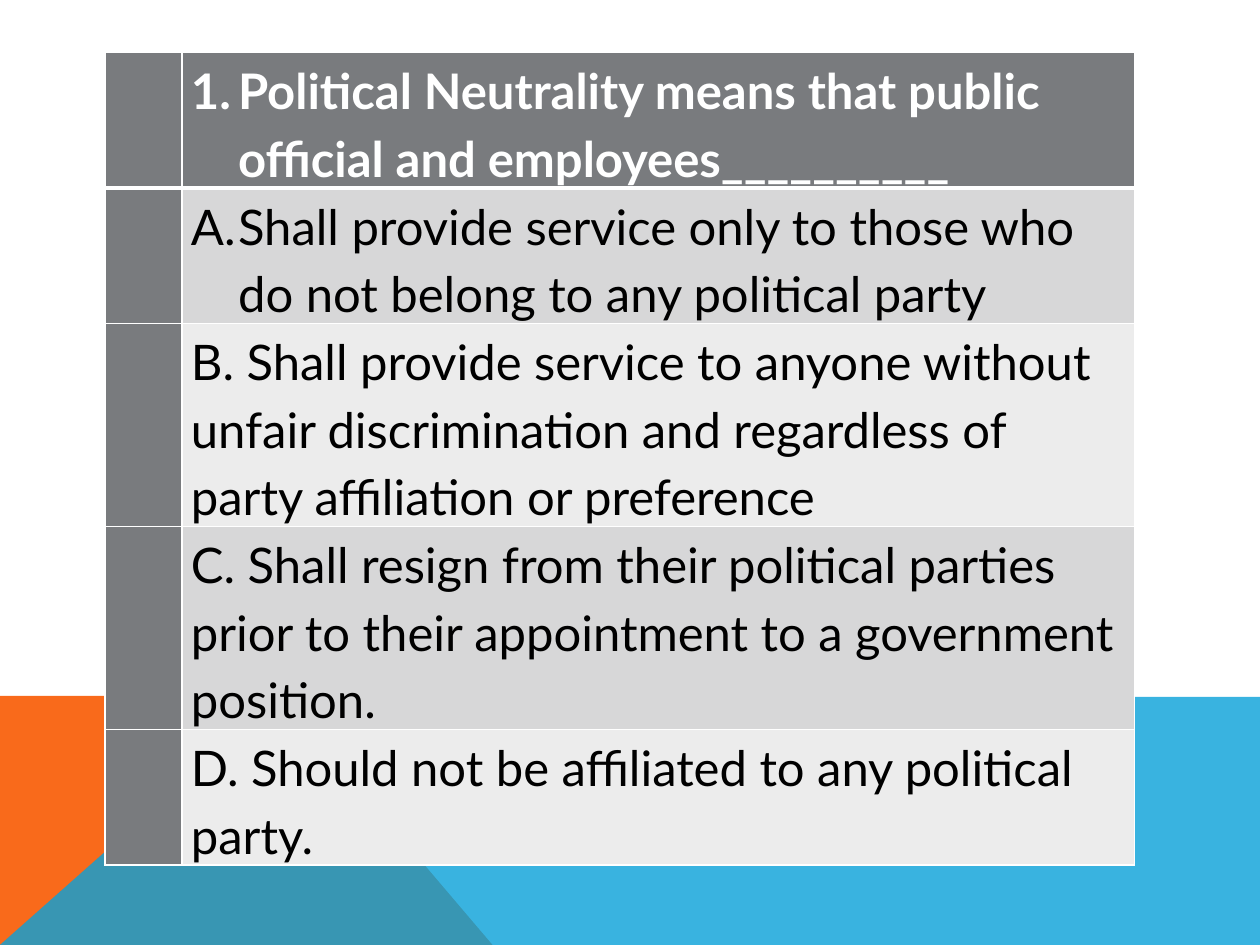
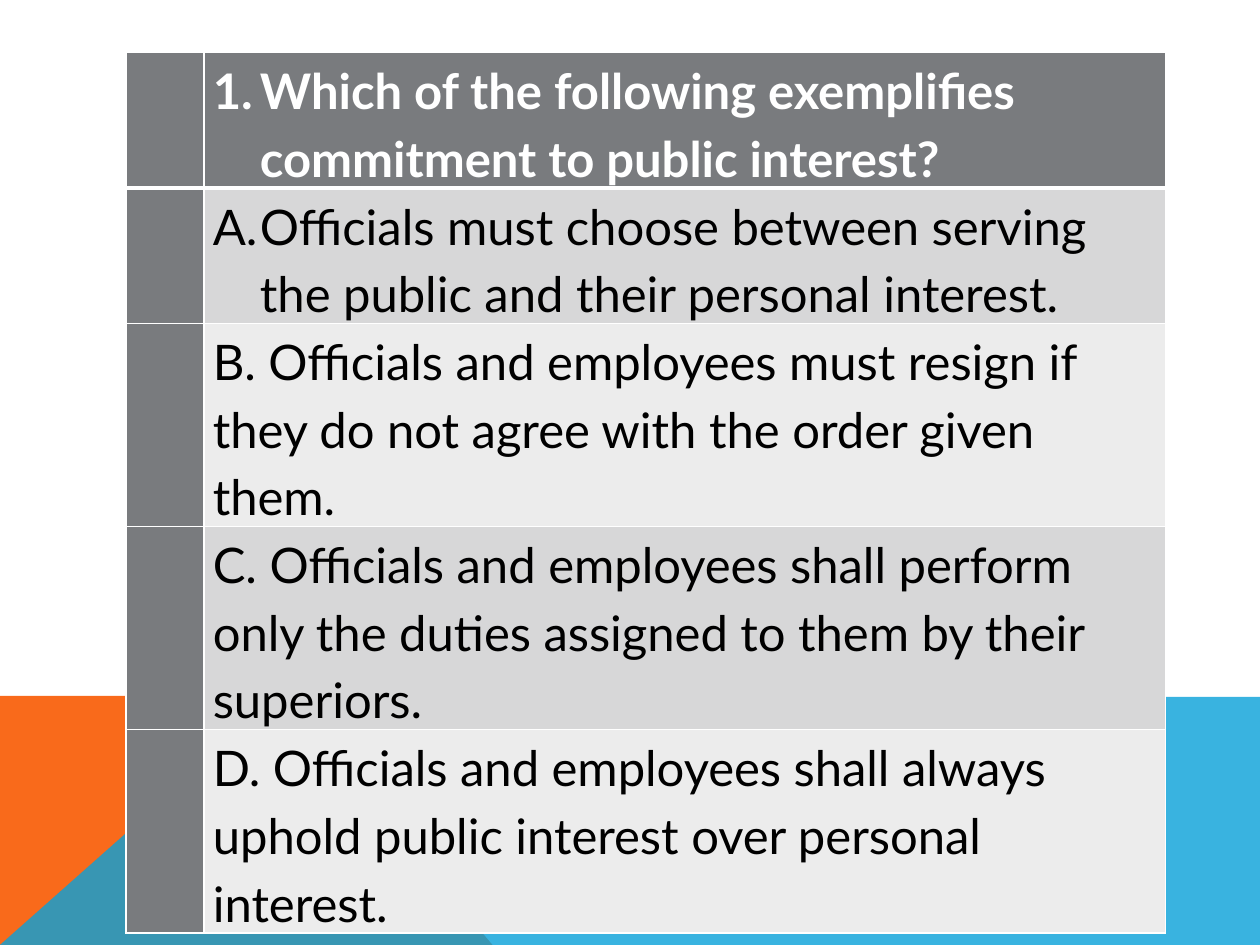
import pptx
import pptx.util
import pptx.dml.color
import pptx.oxml
import pptx.oxml.ns
import lxml.etree

Cm = pptx.util.Cm
Pt = pptx.util.Pt
qn = pptx.oxml.ns.qn

HUES = {
    "paper": "FFFFFF",
    "ink": "000000",
    "head": "797B7E",
    "dark": "D7D7D8",
    "light": "ECECEC",
    "flame": "F96A1B",
    "sky": "08A1D9",
}
FONT = "Lato"
SIZE = Pt(28)
LINE = 1.365
PAD = Cm(0.18)
HANG = Cm(0.95)
WIDE, HIGH = 25.4, 19.05

QUIZ = [
    {
        "box": (2.12, 1.06, 20.75),
        "side": 1.55,
        "lines": (2, 2, 3, 3, 2),
        "text": (
            "Political Neutrality means that public official and employees__________ ",
            "Shall provide service only to those who do not belong to any political party",
            "B. Shall provide service to anyone without unfair discrimination and "
            "regardless of party affiliation or preference",
            "C. Shall resign from their political parties prior to their appointment "
            "to a government position.",
            "D. Should not be affiliated to any political party.",
        ),
    },
    {
        "box": (2.54, 1.06, 20.96),
        "side": 1.57,
        "lines": (2, 2, 3, 3, 3),
        "text": (
            "Which of the following exemplifies commitment to public interest?",
            "Officials must choose between serving the public and their personal interest.",
            "B. Officials and employees must resign if they do not agree with the "
            "order given them.",
            "C. Officials and employees shall perform only the duties assigned to "
            "them by their superiors.",
            "D. Officials and employees shall always uphold public interest over "
            "personal interest.",
        ),
    },
]


def hue(name):
    return pptx.dml.color.RGBColor.from_string(HUES[name])


def sub(node, tag, **attrs):
    child = lxml.etree.SubElement(node, qn(tag))
    for key, value in attrs.items():
        child.set(key, str(value))
    return child


def band(slide, points, name, alpha=None):
    spots = [(Cm(x), Cm(y)) for x, y in points]
    pen = slide.shapes.build_freeform(*spots[0])
    pen.add_line_segments(spots[1:], close=True)
    shape = pen.convert_to_shape()
    shape.shadow.inherit = False
    shape.line.fill.background()
    shape.fill.solid()
    shape.fill.fore_color.rgb = hue(name)
    if alpha:
        tint = shape.element.spPr.find(".//" + qn("a:srgbClr"))
        sub(tint, "a:alpha", val=alpha * 1000)
    return shape


def bands(deck, slide, box):
    left, top, wide, high = box
    base, right = top + high, left + wide
    bend = left + 5.66
    parts = [
        band(slide, [(left, base), (left, top), (bend, top), (left + 9.93, base)], "flame"),
        band(slide, [(left, base), (bend, top), (right, top + 0.02), (right, base)], "sky", 80),
    ]
    tree = deck.slide_master.element.cSld.spTree
    for step, part in enumerate(parts):
        part.element.nvSpPr.cNvPr.set("id", str(100 + step))
        tree.insert(2 + step, part.element)


def edges(cell, top, base):
    props = cell._tc.get_or_add_tcPr()
    sides = (("a:lnL", 1), ("a:lnR", 1), ("a:lnT", top), ("a:lnB", base))
    for spot, (tag, wide) in enumerate(sides):
        line = sub(props, tag, w=Pt(wide))
        sub(sub(line, "a:solidFill"), "a:srgbClr", val=HUES["paper"])
        props.insert(spot, line)


def paint(cell, name, row):
    cell.fill.solid()
    cell.fill.fore_color.rgb = hue(name)
    edges(cell, 3 if row == 1 else 1, 3 if row == 0 else 1)
    cell.margin_left = cell.margin_right = PAD
    cell.margin_top = cell.margin_bottom = 0


def write(cell, text, row):
    para = cell.text_frame.paragraphs[0]
    para.line_spacing = 1.15
    if row < 2:
        props = para._p.get_or_add_pPr()
        props.set("marL", str(HANG))
        props.set("indent", str(-HANG))
        sub(props, "a:buFont", typeface="+mj-lt")
        sub(props, "a:buAutoNum", type=("arabicPeriod", "alphaUcPeriod")[row])
    run = para.add_run()
    run.text = text
    run.font.name = FONT
    run.font.size = SIZE
    run.font.bold = row == 0
    run.font.color.rgb = hue("ink" if row else "paper")


def grid(slide, quiz):
    left, top, wide = quiz["box"]
    lines = quiz["lines"]
    frame = slide.shapes.add_table(
        len(lines), 2, Cm(left), Cm(top), Cm(wide), Cm(LINE * sum(lines))
    )
    table = frame.table
    table.horz_banding = False
    table.columns[0].width = Cm(quiz["side"])
    table.columns[1].width = Cm(wide - quiz["side"])
    for row, (count, text) in enumerate(zip(lines, quiz["text"])):
        table.rows[row].height = Cm(LINE * count)
        fill = "head" if row == 0 else ("light", "dark")[row % 2]
        paint(table.cell(row, 0), "head", row)
        paint(table.cell(row, 1), fill, row)
        write(table.cell(row, 1), text, row)


deck = pptx.Presentation()
deck.slide_width = Cm(WIDE)
deck.slide_height = Cm(HIGH)
back = deck.slide_master.background.fill
back.solid()
back.fore_color.rgb = hue("paper")
slides = [deck.slides.add_slide(deck.slide_layouts[6]) for quiz in QUIZ]
bands(deck, slides[0], (0, 14.03, WIDE, HIGH - 14.03))
for slide, quiz in zip(slides, QUIZ):
    grid(slide, quiz)
deck.save("out.pptx")
